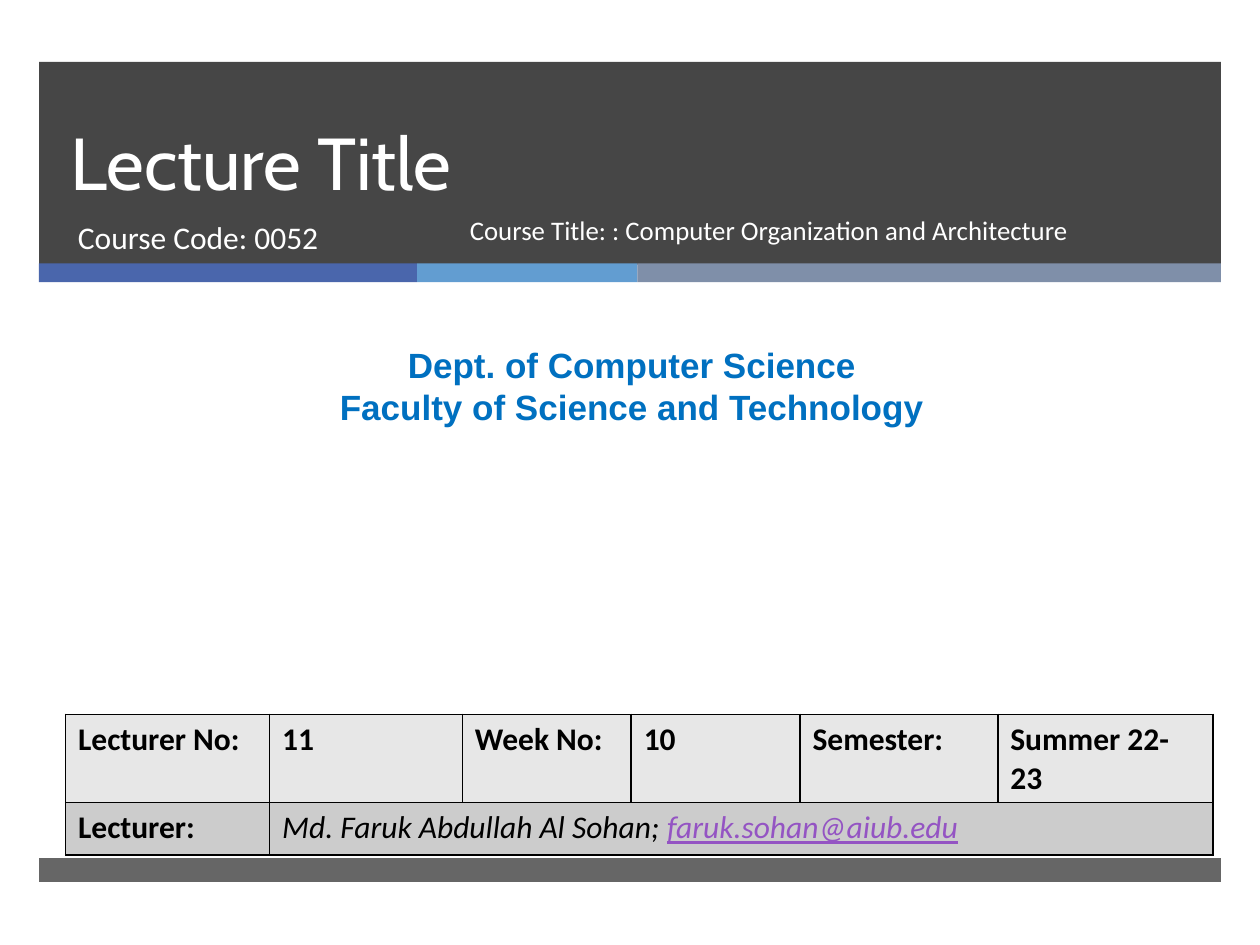
"""Build the title slide of a computer organization lecture."""
from lxml import etree
from pptx import Presentation
from pptx.dml.color import RGBColor
from pptx.enum.shapes import MSO_SHAPE
from pptx.enum.text import MSO_ANCHOR, PP_ALIGN
from pptx.oxml.ns import qn
from pptx.util import Inches, Pt

RECTANGLE = MSO_SHAPE.RECTANGLE
TOP, BOTTOM = MSO_ANCHOR.TOP, MSO_ANCHOR.BOTTOM
LEFT, CENTER = PP_ALIGN.LEFT, PP_ALIGN.CENTER

COLORS = {
    "dark": "262626", "blue": "4A66AC", "sky": "629DD1", "slate": "7F8FA9",
    "white": "FFFFFF", "black": "000000", "heading": "0070C0",
    "link": "9454C3", "light_row": "E7E7E7", "dark_row": "CCCCCC",
}
SLIDE_WIDTH, SLIDE_HEIGHT = 10, 7.5
MARGIN = 0.31
BAND_WIDTH = SLIDE_WIDTH - 2 * MARGIN
BANDS = [(0.49, 1.61, 85), (6.81, 0.19, 70)]
STRIPE_TOP, STRIPE_HEIGHT = 2.09, 0.15
STRIPES = [("blue", 3), ("sky", 1.75), ("slate", 4.63)]

TITLE = {"size": 42, "font": "Cabin", "color": "white"}
COURSE_CODE = {"size": 18, "color": "white"}
COURSE_TITLE = {"size": 15.3, "color": "white"}
DEPARTMENT = {"size": 20, "font": "Arial", "color": "heading", "bold": True}
LABEL = {"size": 18, "bold": True}
NAME = {"size": 18, "italic": True}
EMAIL = {**NAME, "color": "link", "underline": True}

TEXTS = [
    ((0.46, 0.49, 8.54, 1.19), ["Lecture Title"], TITLE, BOTTOM, LEFT, Pt(46)),
    ((0.52, 1.68, 3.05, 0.53), ["Course Code: 0052"], COURSE_CODE, TOP, LEFT, 1.0),
    ((0.08, 2.68, 9.87, 0.77),
     ["Dept. of Computer Science", "Faculty of Science and Technology"],
     DEPARTMENT, TOP, CENTER, 1.0),
    ((3.63, 1.68, 5.18, 0.53),
     ["Course Title: : Computer Organization and Architecture"],
     COURSE_TITLE, TOP, LEFT, 0.9),
]

TABLE_LEFT, TABLE_TOP, ROW_HEIGHT = 0.52, 5.67, 0.415
COLUMN_WIDTHS = [1.62, 1.53, 1.34, 1.34, 1.57, 1.71]
LECTURE_ROW = ["Lecturer No:", "11", "Week No:", "10", "Semester:", "Summer 22-23"]
ROWS = [
    ("light_row", [[(text, LABEL)] for text in LECTURE_ROW]),
    ("dark_row", [
        [("Lecturer:", LABEL)],
        [("Md. Faruk Abdullah Al Sohan; ", NAME), ("faruk.sohan@aiub.edu", EMAIL)],
    ]),
]


def rgb(name):
    return RGBColor.from_string(COLORS[name])


def add_span(para, text, size, font="Calibri", color="black",
             bold=False, italic=False, underline=False):
    span = para.add_run()
    span.text = text
    span.font.size = Pt(size)
    span.font.name = font
    span.font.color.rgb = rgb(color)
    span.font.bold = bold
    span.font.italic = italic
    span.font.underline = underline


def add_bar(page, left, top, width, height, color, opacity=100):
    bar = page.shapes.add_shape(RECTANGLE, *map(Inches, (left, top, width, height)))
    bar.shadow.inherit = False
    bar.line.fill.background()
    bar.fill.solid()
    bar.fill.fore_color.rgb = rgb(color)
    if opacity < 100:
        tint = bar.fill._xPr.find(".//" + qn("a:srgbClr"))
        etree.SubElement(tint, qn("a:alpha"), val=str(opacity * 1000))


def add_text(page, place, lines, style, anchor, alignment, spacing):
    box = page.shapes.add_textbox(*map(Inches, place))
    frame = box.text_frame
    frame.word_wrap = True
    frame.vertical_anchor = anchor
    for index, line in enumerate(lines):
        para = frame.add_paragraph() if index else frame.paragraphs[0]
        para.alignment = alignment
        para.line_spacing = spacing
        add_span(para, line, **style)


def style_cell(cell, color):
    properties = cell._tc.get_or_add_tcPr()
    for side in ("a:lnL", "a:lnR", "a:lnT", "a:lnB"):
        border = etree.SubElement(properties, qn(side), w=str(Pt(1)))
        fill = etree.SubElement(border, qn("a:solidFill"))
        etree.SubElement(fill, qn("a:srgbClr"), val=COLORS["black"])
    cell.fill.solid()
    cell.fill.fore_color.rgb = rgb(color)


def add_lecture_table(page):
    size = (sum(COLUMN_WIDTHS), ROW_HEIGHT * len(ROWS))
    table = page.shapes.add_table(
        len(ROWS), len(COLUMN_WIDTHS),
        *map(Inches, (TABLE_LEFT, TABLE_TOP, *size))).table
    for column, width in zip(table.columns, COLUMN_WIDTHS):
        column.width = Inches(width)
    for row, (color, contents) in zip(table.rows, ROWS):
        row.height = Inches(ROW_HEIGHT)
        for cell in row.cells:
            style_cell(cell, color)
        for cell, spans in zip(row.cells, contents):
            for text, style in spans:
                add_span(cell.text_frame.paragraphs[0], text, **style)
    table.cell(1, 1).merge(table.cell(1, len(COLUMN_WIDTHS) - 1))


def main():
    deck = Presentation()
    deck.slide_width, deck.slide_height = Inches(SLIDE_WIDTH), Inches(SLIDE_HEIGHT)
    page = deck.slides.add_slide(deck.slide_layouts[6])
    for top, height, opacity in BANDS:
        add_bar(page, MARGIN, top, BAND_WIDTH, height, "dark", opacity)
    left = MARGIN
    for color, width in STRIPES:
        add_bar(page, left, STRIPE_TOP, width, STRIPE_HEIGHT, color)
        left += width
    for text in TEXTS:
        add_text(page, *text)
    add_lecture_table(page)
    deck.save("out.pptx")


if __name__ == "__main__":
    main()
